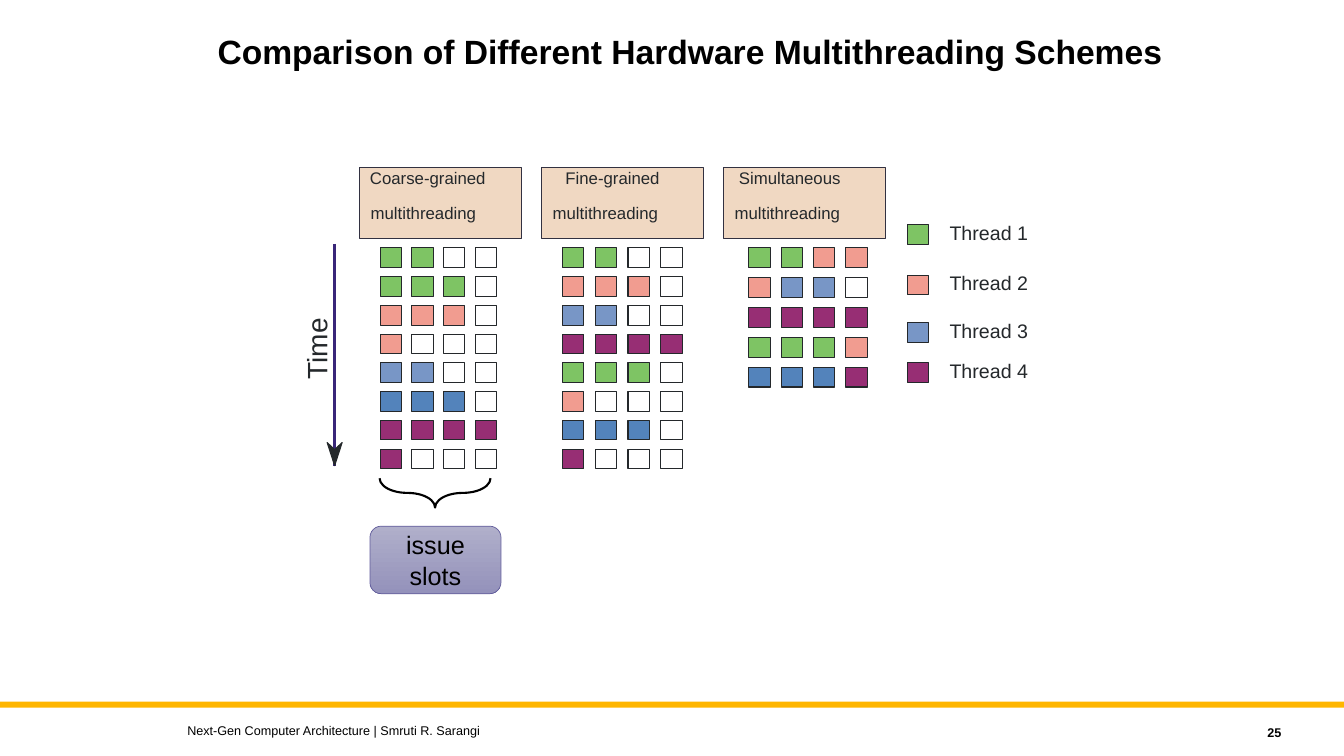
from pptx import Presentation
from pptx.dml.color import RGBColor
from pptx.enum.shapes import MSO_CONNECTOR, MSO_SHAPE
from pptx.enum.text import MSO_ANCHOR, PP_ALIGN
from pptx.oxml.ns import qn
from pptx.util import Inches, Pt
from lxml import etree

RECTANGLE, ROUNDED = MSO_SHAPE.RECTANGLE, MSO_SHAPE.ROUNDED_RECTANGLE
BRACE, STRAIGHT = MSO_SHAPE.RIGHT_BRACE, MSO_CONNECTOR.STRAIGHT
LEFT, CENTER, RIGHT = PP_ALIGN.LEFT, PP_ALIGN.CENTER, PP_ALIGN.RIGHT
TOP, MIDDLE = MSO_ANCHOR.TOP, MSO_ANCHOR.MIDDLE

THEME = {
    "font": "Arial",
    "black": "000000", "ink": "24282B", "bar": "FFB600", "axis": "392679",
    "header": "F0D8C2", "header line": "323141",
    "slots": ("B0AFCA", "9492BB"), "slots line": "625D9C",
    "title": 24, "axis label": 20, "slots label": 18, "legend": 14,
    "scheme": 12, "footer": 9,
}
# Slot codes: threads 1 to 4, a darker shade of thread 3, and an empty slot
SLOT_COLORS = {"1": "7EC464", "2": "F19C90", "3": "7896C6",
               "b": "5383BB", "4": "972E74", ".": "FFFFFF"}

presentation = Presentation()
presentation.slide_width, presentation.slide_height = Inches(13.333), Inches(7.5)
slide = presentation.slides.add_slide(presentation.slide_layouts[6])
# All lengths are percentages of the slide's width (across) or height (down)
ACROSS = presentation.slide_width / 100
DOWN = presentation.slide_height / 100


def add_box(kind, left, top, width, height, fill=None, line=None, weight=0):
    shape = slide.shapes.add_shape(kind, int(left * ACROSS), int(top * DOWN),
                                   int(width * ACROSS), int(height * DOWN))
    shape.shadow.inherit = False
    for part, color in ((shape.fill, fill), (shape.line.fill, line)):
        if color:
            part.solid()
            part.fore_color.rgb = RGBColor.from_string(color)
        else:
            part.background()
    if line:
        shape.line.width = Pt(weight)
    return shape


def add_text(lines, left, top, width, height, size, color="ink", bold=False,
             align=LEFT, anchor=TOP, inset=0, spacing=1.0, shape=None):
    shape = shape or slide.shapes.add_textbox(
        int(left * ACROSS), int(top * DOWN), int(width * ACROSS), int(height * DOWN))
    frame = shape.text_frame
    frame_format = {"word_wrap": True, "vertical_anchor": anchor,
                    "margin_left": Inches(inset), "margin_right": Inches(inset),
                    "margin_top": Inches(inset / 2), "margin_bottom": Inches(inset / 2)}
    for name, value in frame_format.items():
        setattr(frame, name, value)
    frame.text = "\n".join(lines)
    font_format = {"name": THEME["font"], "size": Pt(THEME[size]), "bold": bold}
    for paragraph in frame.paragraphs:
        paragraph.alignment = align
        paragraph.line_spacing = spacing
        for run in paragraph.runs:
            for name, value in font_format.items():
                setattr(run.font, name, value)
            run.font.color.rgb = RGBColor.from_string(THEME[color])
    return shape


# Title and footer
add_box(RECTANGLE, 0, 92.8, 100, 0.8, THEME["bar"])
add_text(["Comparison of Different Hardware Multithreading Schemes"],
         15.45, 4, 74.62, 12, "title", "black", True, inset=0.1, spacing=0.9)
add_text(["Next-Gen Computer Architecture | Smruti R. Sarangi"],
         13.2, 94.93, 60, 3.33, "footer", "black", anchor=MIDDLE, inset=0.1)
add_text(["25"], 85.58, 95.2, 10.5, 3.33, "footer", "black", True,
         RIGHT, MIDDLE, 0.1)

# Time axis: line, notched head, upright label
axis_left, axis_top, axis_bottom = 24.9, 32.27, 61.6
axis = slide.shapes.add_connector(
    STRAIGHT, int(axis_left * ACROSS), int(axis_top * DOWN),
    int(axis_left * ACROSS), int(axis_bottom * DOWN))
axis.line.color.rgb = RGBColor.from_string(THEME["axis"])
axis.line.width = Pt(0)
etree.SubElement(axis.element.spPr, qn("a:effectLst"))

head_points = [(int((axis_left + across) * ACROSS), int((axis_bottom - up) * DOWN))
               for across, up in ((0, 2.13), (-0.56, 3.07), (0, 0), (0.56, 3.07))]
outline = slide.shapes.build_freeform(*head_points[0], scale=1.0)
outline.add_line_segments(head_points[1:], close=True)
head = outline.convert_to_shape()
head.shadow.inherit = False
head.fill.solid()
head.fill.fore_color.rgb = head.line.color.rgb = RGBColor.from_string(THEME["ink"])
head.line.width = Pt(0)

time_label = add_text(["Time"], 20.93, 43.87, 5.25, 4.53, "axis label", align=CENTER)
time_label.rotation = 270

# Schemes: name, its indent, first slot's left, column pitch, row pitch, rows
SLOT_WIDTH, SLOT_HEIGHT, SLOTS_TOP = 1.6, 2.6, 32.8
SCHEMES = [
    ("Coarse-grained", 0.75, 28.28, 2.36, 3.8,
     "11.. 111. 222. 2... 33.. bbb. 4444 4..."),
    ("Fine-grained", 1.75, 41.85, 2.44, 3.8,
     "11.. 222. 33.. 4444 111. 2... bbb. 4..."),
    ("Simultaneous", 1.12, 55.73, 2.4, 3.95,
     "1122 233. 4444 1112 bbb4"),
]
for index, (name, indent, first, column_pitch, row_pitch, rows) in enumerate(SCHEMES):
    left = 26.78 + 13.54 * index
    add_box(RECTANGLE, left, 22.13, 12, 9.47, THEME["header"], THEME["header line"])
    add_text([name], left + indent, 22.2, 10, 2.67, "scheme")
    add_text(["multithreading"], left + 0.8, 26.8, 10, 2.67, "scheme")
    for row, codes in enumerate(rows.split()):
        for column, code in enumerate(codes):
            add_box(RECTANGLE, first + column * column_pitch, SLOTS_TOP + row * row_pitch,
                    SLOT_WIDTH, SLOT_HEIGHT, SLOT_COLORS[code], THEME["ink"])

# Legend
for thread, top in zip("1234", (29.73, 36.4, 42.67, 48)):
    add_box(RECTANGLE, 67.5, top, SLOT_WIDTH, SLOT_HEIGHT, SLOT_COLORS[thread], THEME["ink"])
    add_text([f"Thread {thread}"], 70.65, top - 0.5, 7, 3.2, "legend")

# Issue slots: brace and label
brace = add_box(BRACE, 31.28, 57.87, 2.18, 14.67, line=THEME["black"], weight=1.5)
brace.rotation = 90
brace.adjustments[0], brace.adjustments[1] = 1.17, 0.5

slots = add_box(ROUNDED, 27.53, 69.6, 9.75, 8.93, line=THEME["slots line"], weight=0.5)
slots.fill.gradient()
slots.fill.gradient_angle = 270
for stop, color, position in zip(slots.fill.gradient_stops, THEME["slots"], (0, 1)):
    stop.color.rgb = RGBColor.from_string(color)
    stop.position = position
add_text(["issue", "slots"], 0, 0, 0, 0, "slots label", "black",
         align=CENTER, anchor=MIDDLE, inset=0.1, shape=slots)

presentation.save("out.pptx")
